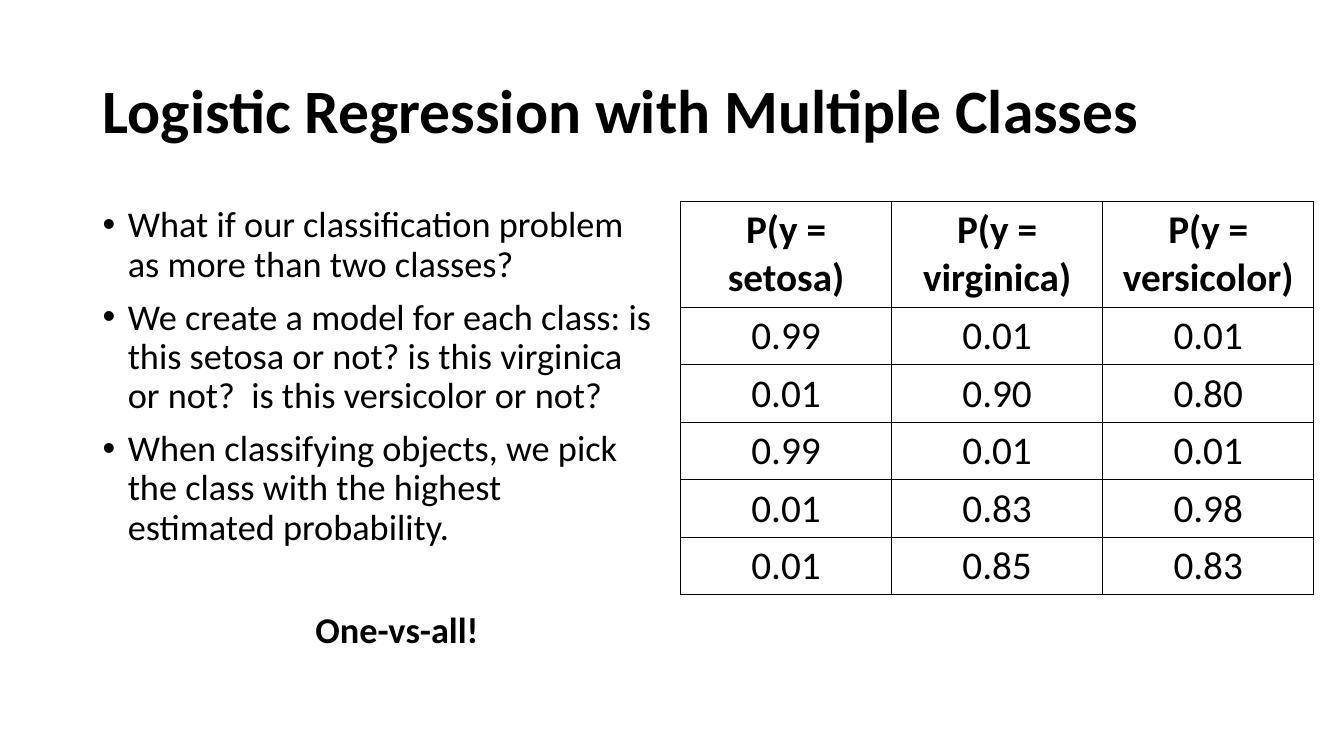
"""Builds the slide on logistic regression with multiple classes."""
from lxml.etree import SubElement
from pptx import Presentation
from pptx.dml.color import RGBColor
from pptx.enum.text import MSO_ANCHOR as Anchor, PP_ALIGN as Align
from pptx.oxml.ns import qn
from pptx.util import Inches, Pt

COLORS = {"text": "000000", "border": "000000", "page": "FFFFFF"}


def add_text(para, text, size, bold=False):
    span = para.add_run()
    span.text = text
    span.font.name = "Calibri"
    span.font.size = Pt(size)
    span.font.bold = bold
    span.font.color.rgb = RGBColor.from_string(COLORS["text"])


def add_frame(page, left, top, width, height, anchor):
    box = page.shapes.add_textbox(Inches(left), Inches(top), Inches(width), Inches(height))
    frame = box.text_frame
    frame.word_wrap = True
    frame.vertical_anchor = anchor
    return frame


deck = Presentation()
deck.slide_width, deck.slide_height = Inches(13.33), Inches(7.5)
page = deck.slides.add_slide(deck.slide_layouts[6])
page.background.fill.solid()
page.background.fill.fore_color.rgb = RGBColor.from_string(COLORS["page"])

title = add_frame(page, 0.92, 0.4, 11.5, 1.45, Anchor.MIDDLE).paragraphs[0]
title.line_spacing = 0.9
add_text(title, "Logistic Regression with Multiple Classes", 44, True)

points = [
    "What if our classification problem as more than two classes?",
    "We create a model for each class: is this setosa or not? is this virginica or not?  is this versicolor or not?",
    "When classifying objects, we pick the class with the highest estimated probability.",
]
body = add_frame(page, 0.92, 2, 5.67, 4.76, Anchor.TOP)
for index, point in enumerate(points):
    para = body.add_paragraph() if index else body.paragraphs[0]
    para.line_spacing = 0.9
    if index:
        para.space_before = Pt(10)
    props = para._p.get_or_add_pPr()
    props.set("marL", str(Inches(0.25)))
    props.set("indent", str(Inches(-0.25)))
    SubElement(props, qn("a:buFont"), typeface="Arial")
    SubElement(props, qn("a:buChar"), char="•")
    add_text(para, point, 25.9)

closing = body.add_paragraph()
closing.line_spacing = 0.8
closing.space_before = Pt(48.4)
closing._p.get_or_add_pPr().set("marL", str(Inches(2.11)))
add_text(closing, "One-vs-all!", 25.9, True)

rows = [
    ["P(y = setosa)", "P(y = virginica)", "P(y = versicolor)"],
    ["0.99", "0.01", "0.01"],
    ["0.01", "0.90", "0.80"],
    ["0.99", "0.01", "0.01"],
    ["0.01", "0.83", "0.98"],
    ["0.01", "0.85", "0.83"],
]
table = page.shapes.add_table(
    len(rows), len(rows[0]), Inches(6.75), Inches(2), Inches(6.28), Inches(3.9)
).table
table.first_row = False
table.horz_banding = False
for column in table.columns:
    column.width = Inches(6.28 / 3)
for row_index, values in enumerate(rows):
    table.rows[row_index].height = Inches(0.57 if row_index else 1.05)
    for column_index, value in enumerate(values):
        cell = table.cell(row_index, column_index)
        cell_props = cell._tc.get_or_add_tcPr()
        for side in ("lnL", "lnR", "lnT", "lnB"):
            line = SubElement(cell_props, qn(f"a:{side}"), w=str(Pt(1)))
            SubElement(SubElement(line, qn("a:solidFill")), qn("a:srgbClr"), val=COLORS["border"])
        cell.fill.background()
        para = cell.text_frame.paragraphs[0]
        para.alignment = Align.CENTER
        add_text(para, value, 28, row_index == 0)

deck.save("out.pptx")
